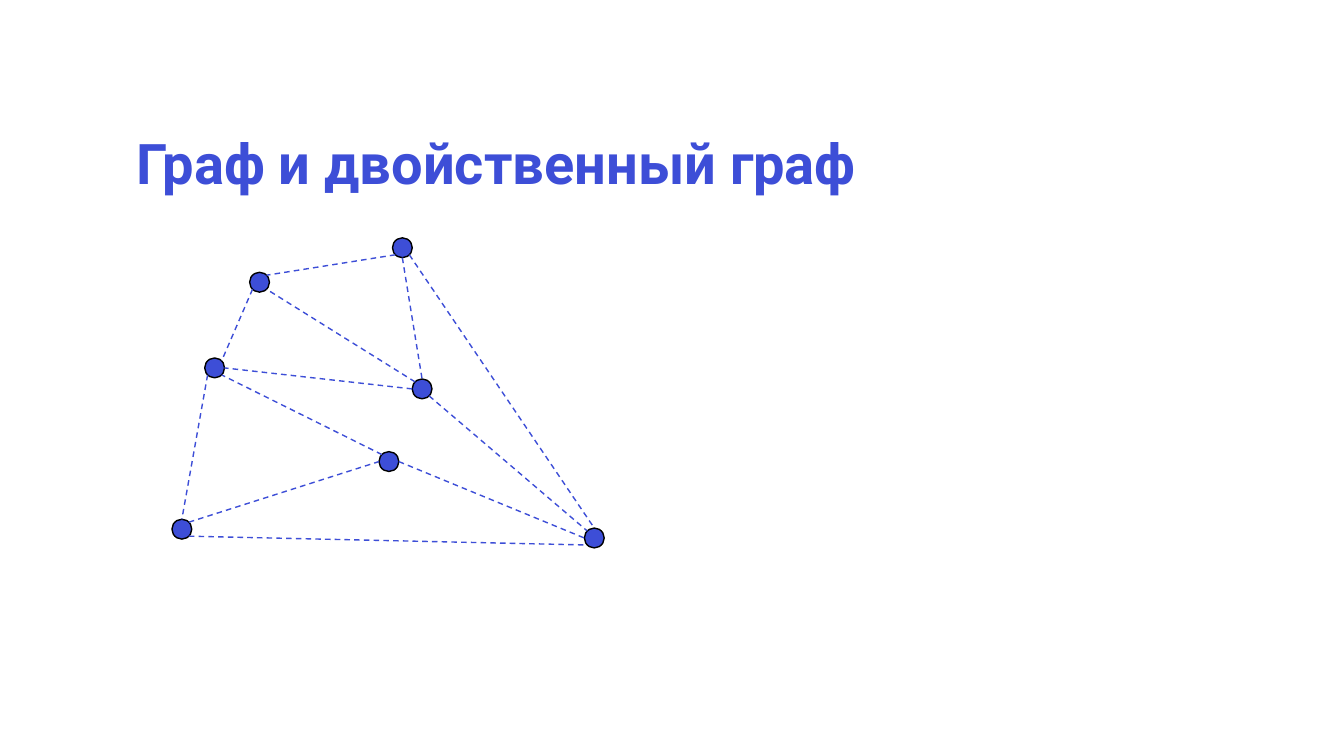
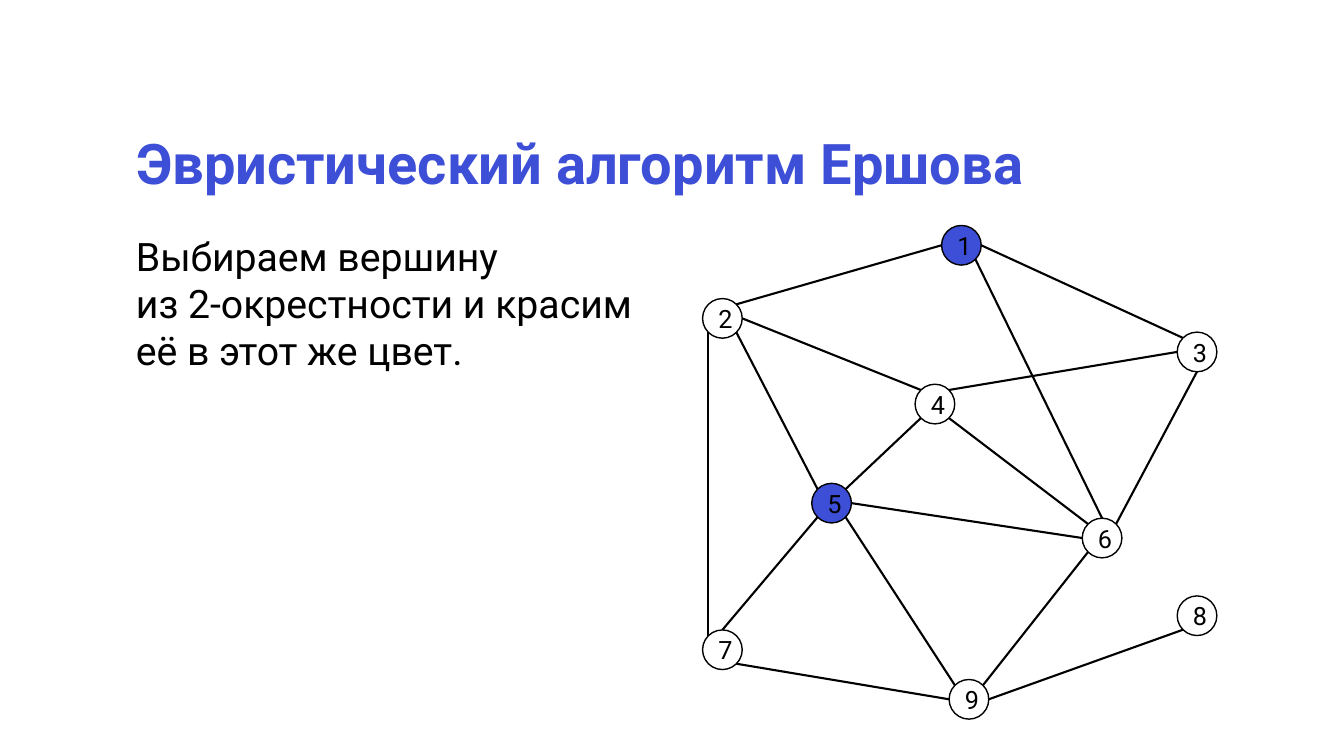
from dataclasses import dataclass
from enum import IntEnum
from math import cos, pi, sin
from typing import Any

from lxml import etree
from pptx import Presentation
from pptx.dml.color import RGBColor
from pptx.enum.dml import MSO_LINE
from pptx.enum.shapes import MSO_CONNECTOR, MSO_SHAPE
from pptx.enum.text import MSO_ANCHOR, MSO_AUTO_SIZE, PP_ALIGN
from pptx.oxml.ns import qn
from pptx.util import Inches, Pt

ELLIPSE = MSO_SHAPE.OVAL
STRAIGHT = MSO_CONNECTOR.STRAIGHT
DASH = MSO_LINE.DASH
MIDDLE, TOP = MSO_ANCHOR.MIDDLE, MSO_ANCHOR.TOP
LEFT, CENTER = PP_ALIGN.LEFT, PP_ALIGN.CENTER
NO_FIT = MSO_AUTO_SIZE.NONE

WIDTH, HEIGHT = Inches(13.33), Inches(7.5)
COLS, ROWS = 160, 90
TITLE_ONLY = 5


@dataclass(frozen=True)
class Theme:
    font: str = "Roboto"
    accent: RGBColor = RGBColor(0x3D, 0x4E, 0xD7)
    ink: RGBColor = RGBColor(0, 0, 0)
    paper: RGBColor = RGBColor(255, 255, 255)
    title_size: int = 40
    body_size: int = 28
    node_size: int = 18
    outline: float = 1


THEME = Theme()


class Site(IntEnum):
    T = 0
    TL = 1
    L = 2
    BL = 3
    B = 4
    BR = 5
    R = 6
    TR = 7


@dataclass(frozen=True)
class Box:
    col: float
    row: float
    cols: float
    rows: float


@dataclass(frozen=True)
class Node:
    name: str
    col: float
    row: float
    marked: bool = False


@dataclass(frozen=True)
class Edge:
    start: str
    start_site: Site
    end: str
    end_site: Site


@dataclass(frozen=True)
class Graph:
    nodes: list[Node]
    edges: list[Edge]
    diameter: float
    labelled: bool
    line: dict[str, Any]
    color: RGBColor


def x(cols: float) -> int:
    return round(WIDTH * cols / COLS)


def y(rows: float) -> int:
    return round(HEIGHT * rows / ROWS)


def apply(target: Any, values: dict[str, Any]) -> None:
    for name, value in values.items():
        setattr(target, name, value)


def edges(text: str) -> list[Edge]:
    result = []
    for pair in text.split():
        (a, a_site), (b, b_site) = (end.split(".") for end in pair.split("-"))
        result.append(Edge(a, Site[a_site], b, Site[b_site]))
    return result


def write(sp: Any, text: str, size: int, color: RGBColor, bold: bool = False,
          align: Any = LEFT, anchor: Any = TOP, spacing: float = 1.0) -> None:
    tf = sp.text_frame
    apply(tf, {"word_wrap": True, "auto_size": NO_FIT, "vertical_anchor": anchor})
    p = tf.paragraphs[0]
    p.text = text
    apply(p, {"alignment": align, "line_spacing": spacing})
    for r in p.runs:
        apply(r.font, {"name": THEME.font, "size": Pt(size), "bold": bold})
        r.font.color.rgb = color


def place(sp: Any, box: Box) -> None:
    apply(sp, {"left": x(box.col), "top": y(box.row),
               "width": x(box.cols), "height": y(box.rows)})


def add_titled_slide(prs: Any, title: str, cols: float) -> Any:
    s = prs.slides.add_slide(prs.slide_layouts[TITLE_ONLY])
    place(s.shapes.title, Box(15, 15, cols, 9.6))
    write(s.shapes.title, title, THEME.title_size, THEME.accent, True,
          anchor=MIDDLE, spacing=0.9)
    return s


def add_body(s: Any, text: str, box: Box) -> None:
    sp = s.shapes.add_textbox(x(box.col), y(box.row), x(box.cols), y(box.rows))
    write(sp, text, THEME.body_size, THEME.ink)


def add_node(s: Any, node: Node, graph: Graph) -> Any:
    d = graph.diameter
    sp = s.shapes.add_shape(ELLIPSE, x(node.col - d / 2), y(node.row - d / 2), x(d), y(d))
    sp.shadow.inherit = False
    sp.fill.solid()
    sp.fill.fore_color.rgb = THEME.accent if node.marked else THEME.paper
    sp.line.color.rgb = THEME.ink
    sp.line.width = Pt(THEME.outline)
    if graph.labelled:
        write(sp, node.name, THEME.node_size, THEME.ink, align=CENTER, anchor=MIDDLE)
    return sp


def site_point(sp: Any, site: Site) -> tuple[int, int]:
    angle = site * pi / 4
    return (round(sp.left + sp.width * (1 - sin(angle)) / 2),
            round(sp.top + sp.height * (1 - cos(angle)) / 2))


def add_edge(s: Any, edge: Edge, shapes: dict[str, Any], graph: Graph) -> None:
    start, end = shapes[edge.start], shapes[edge.end]
    c = s.shapes.add_connector(STRAIGHT, 0, 0, 0, 0)
    c.begin_connect(start, 0)
    c.end_connect(end, 0)
    for tag, site in (("a:stCxn", edge.start_site), ("a:endCxn", edge.end_site)):
        next(c.element.iter(qn(tag))).set("idx", str(int(site)))
    c.begin_x, c.begin_y = site_point(start, edge.start_site)
    c.end_x, c.end_y = site_point(end, edge.end_site)
    c.line.color.rgb = graph.color
    apply(c.line, graph.line)
    etree.SubElement(c.element.spPr, qn("a:effectLst"))


def add_graph(s: Any, graph: Graph) -> None:
    shapes = {node.name: add_node(s, node, graph) for node in graph.nodes}
    for edge in graph.edges:
        add_edge(s, edge, shapes, graph)


PLANAR = Graph(
    nodes=[
        Node("A", 47.9, 29.5, True),
        Node("B", 30.9, 33.6, True),
        Node("C", 50.25, 46.3, True),
        Node("D", 25.55, 43.8, True),
        Node("E", 21.65, 63, True),
        Node("F", 46.3, 54.95, True),
        Node("G", 70.75, 64.05, True),
    ],
    edges=edges("A.BL-B.TR B.BL-D.TR D.BL-E.T C.TL-B.BR C.BR-G.TL E.TR-F.L "
                "F.TL-D.BR A.B-C.T F.R-G.L C.L-D.R E.BR-G.BL A.BR-G.T"),
    diameter=2.36,
    labelled=False,
    line={"width": Pt(1), "dash_style": DASH},
    color=THEME.accent,
)

COLORING = Graph(
    nodes=[
        Node("1", 114.45, 29.2, True),
        Node("2", 86, 37.9),
        Node("3", 142.5, 41.9),
        Node("4", 111.3, 48.1),
        Node("5", 99, 59.9, True),
        Node("6", 131.2, 64.05),
        Node("7", 86, 77.35),
        Node("8", 142.5, 73.3),
        Node("9", 115.35, 83.25),
    ],
    edges=edges("1.L-2.TR 6.T-1.BR 2.R-4.TL 4.BR-6.TL 4.BL-5.TR 4.TR-3.L "
                "1.R-3.TL 5.BL-7.T 5.R-6.L 8.BL-9.R 2.BL-7.TL 2.BR-5.TL "
                "3.B-6.TR 9.L-7.BR 9.TL-5.BR 9.TR-6.BL"),
    diameter=4.72,
    labelled=True,
    line={"width": Pt(1.5)},
    color=THEME.ink,
)


def main() -> None:
    prs = Presentation()
    apply(prs, {"slide_width": WIDTH, "slide_height": HEIGHT})

    s = add_titled_slide(prs, "Граф и двойственный граф", 108.5)
    add_graph(s, PLANAR)

    s = add_titled_slide(prs, "Эвристический алгоритм Ершова", 130.2)
    add_body(s, "Выбираем вершину\nиз 2-окрестности и красим\nеё в этот же цвет.",
             Box(15, 27.1, 65, 18.1))
    add_graph(s, COLORING)

    prs.save("out.pptx")


if __name__ == "__main__":
    main()
